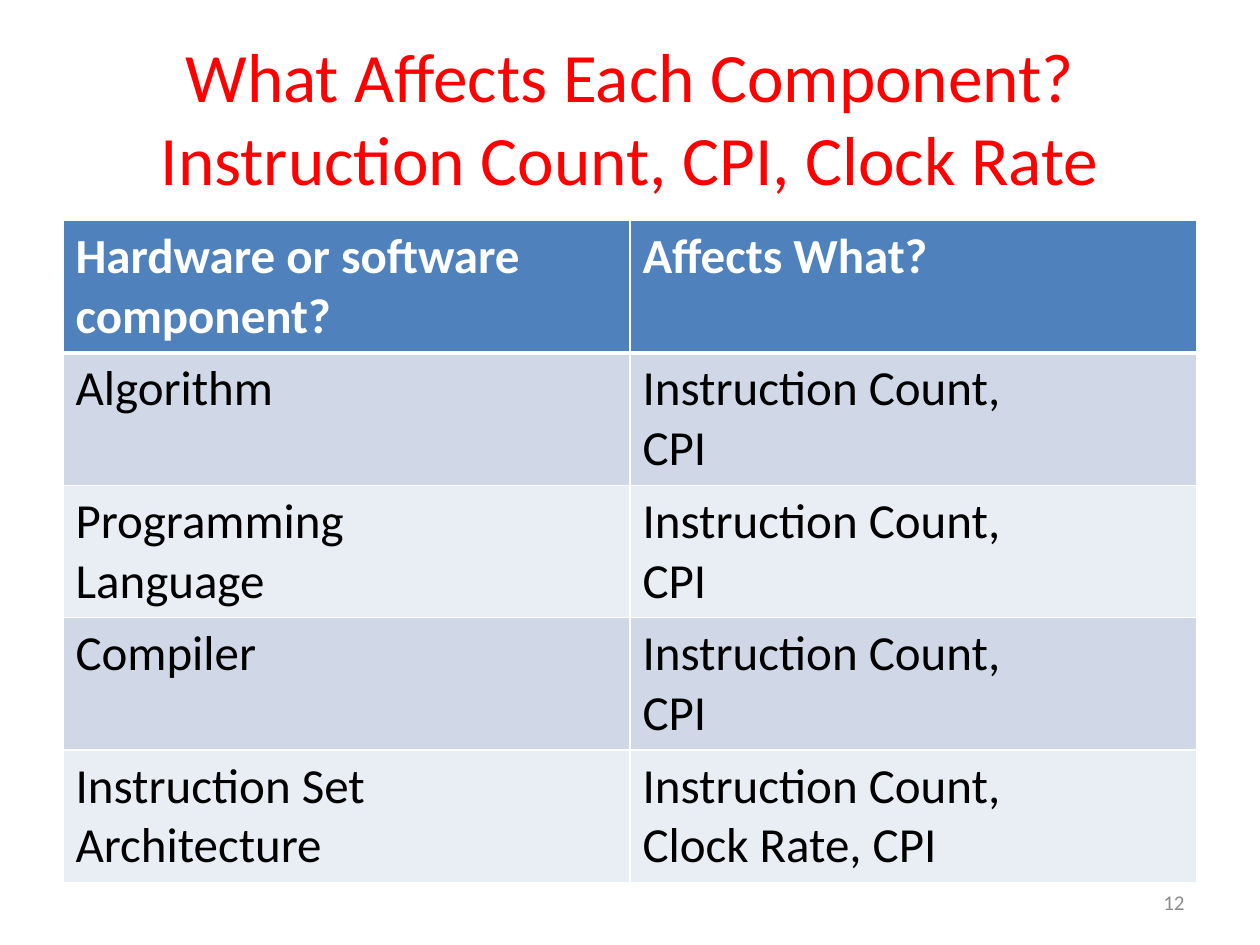
from dataclasses import dataclass
from lxml import etree
from pptx import Presentation
from pptx import util as u
from pptx.dml.color import RGBColor
from pptx.enum import text
from pptx.oxml.ns import qn


@dataclass(frozen=True)
class Theme:
    font: str = "Calibri"
    title: str = "FF0000"
    head: str = "4F81BD"
    bands: tuple = ("D0D8E8", "E9EDF4")
    white: str = "FFFFFF"
    ink: str = "000000"
    gray: str = "8C8C8C"
    big: float = 39.6
    body: float = 28
    small: float = 12


T = Theme()
WIDE, HIGH = u.Inches(10), u.Inches(7.5)

ROWS = [
    ("Hardware or software component?", "Affects What?"),
    ("Algorithm", "Instruction Count,\vCPI"),
    ("Programming\vLanguage", "Instruction Count,\vCPI"),
    ("Compiler", "Instruction Count,\vCPI"),
    ("Instruction Set Architecture", "Instruction Count,\vClock Rate, CPI"),
]


def share(x, y, w, h):
    return int(x * WIDE), int(y * HIGH), int(w * WIDE), int(h * HIGH)


def write(frame, words, size=T.body, color=T.ink, bold=False,
          align=text.PP_ALIGN.LEFT, anchor=text.MSO_ANCHOR.TOP):
    frame.word_wrap = True
    frame.vertical_anchor = anchor
    para = frame.paragraphs[0]
    para.text = words
    para.alignment = align
    for run in para.runs:
        font = run.font
        font.name, font.size, font.bold = T.font, u.Pt(size), bold
        font.color.rgb = RGBColor.from_string(color)


def edge(cell, side, width):
    line = etree.SubElement(cell._tc.get_or_add_tcPr(), qn(f"a:ln{side}"),
                            w=str(u.Pt(width)))
    fill = etree.SubElement(line, qn("a:solidFill"))
    etree.SubElement(fill, qn("a:srgbClr"), val=T.white)


def heading(slide, box):
    title = slide.shapes.title
    title.left, title.top, title.width, title.height = box
    write(title.text_frame,
          "What Affects Each Component? Instruction Count, CPI, Clock Rate",
          size=T.big, color=T.title, align=text.PP_ALIGN.CENTER,
          anchor=text.MSO_ANCHOR.MIDDLE)


def grid(slide, box):
    table = slide.shapes.add_table(len(ROWS), len(ROWS[0]), *box).table
    for r, row in enumerate(ROWS):
        head = r == 0
        shade = T.head if head else T.bands[(r - 1) % 2]
        widths = {"L": 1, "R": 1, "T": 3 if r == 1 else 1, "B": 3 if head else 1}
        for c, words in enumerate(row):
            cell = table.cell(r, c)
            for side, width in widths.items():
                edge(cell, side, width)
            cell.fill.solid()
            cell.fill.fore_color.rgb = RGBColor.from_string(shade)
            write(cell.text_frame, words, bold=head,
                  color=T.white if head else T.ink)


def number(slide, box):
    write(slide.shapes.add_textbox(*box).text_frame, "12", size=T.small,
          color=T.gray, align=text.PP_ALIGN.RIGHT,
          anchor=text.MSO_ANCHOR.MIDDLE)


def main():
    deck = Presentation()
    deck.slide_width, deck.slide_height = WIDE, HIGH
    slide = deck.slides.add_slide(deck.slide_layouts[5])
    heading(slide, share(0.05, 0.04, 0.9, 1 / 6))
    grid(slide, share(0.05, 7 / 30, 0.9, 0.7))
    number(slide, share(0.72, 0.93, 0.23, 0.05))
    deck.save("out.pptx")


if __name__ == "__main__":
    main()
